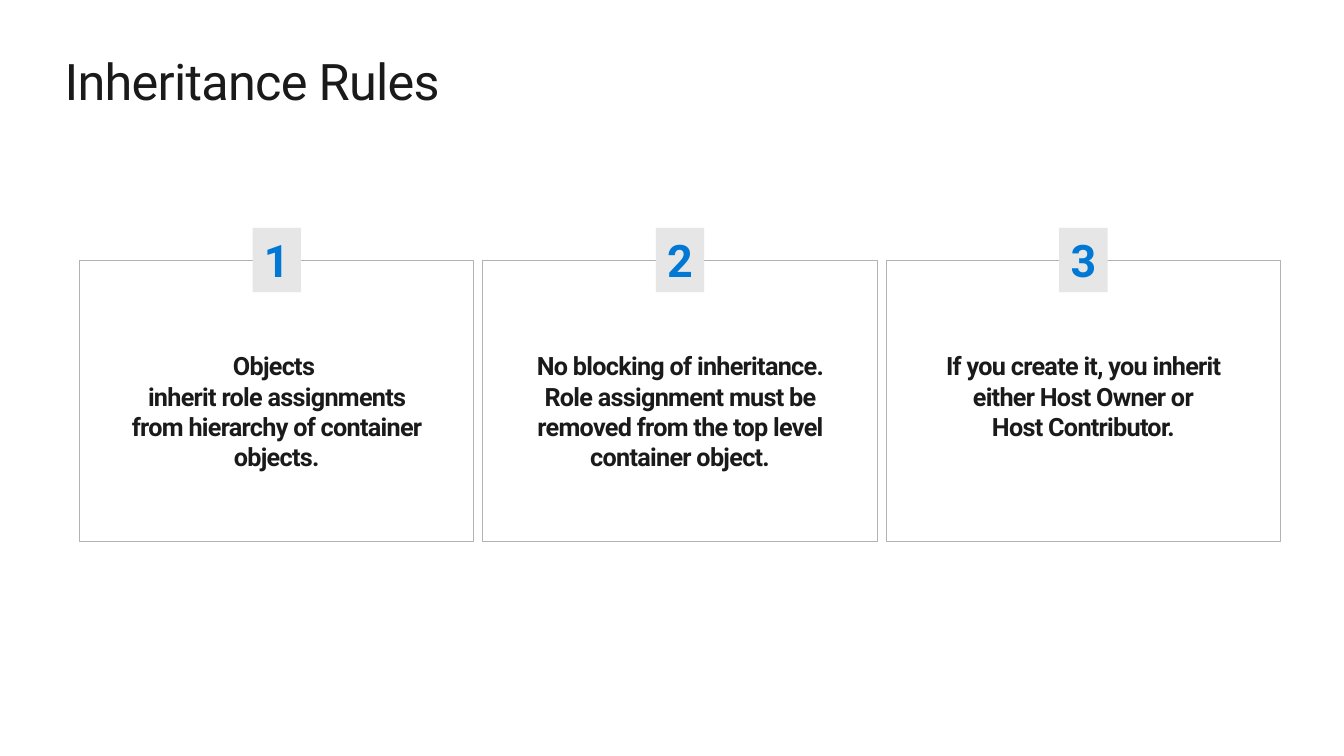
from pptx import Presentation
from pptx.dml.color import RGBColor
from pptx.enum.shapes import MSO_SHAPE
from pptx.enum.text import MSO_ANCHOR, PP_ALIGN
from pptx.util import Inches, Pt

RECTANGLE = MSO_SHAPE.RECTANGLE
TOP, MIDDLE = MSO_ANCHOR.TOP, MSO_ANCHOR.MIDDLE
LEFT, CENTER = PP_ALIGN.LEFT, PP_ALIGN.CENTER

TITLE = "Inheritance Rules"
RULES = [
    "Objects \ninherit role assignments from hierarchy of container objects.",
    "No blocking of inheritance. Role assignment must be removed from the top level container object.",
    "If you create it, you inherit either Host Owner or\nHost Contributor.",
]

COLORS = {"text": "1A1A1A", "border": "B2B2B2", "badge": "E6E6E6", "number": "0078D4"}
FONT = "Roboto"
CARD_LEFT, CARD_TOP, CARD_WIDTH, CARD_HEIGHT = 0.79, 2.58, 3.91, 2.79
CARD_PITCH = 4.0
BADGE_WIDTH, BADGE_HEIGHT = 0.48, 0.64
TEXT_WIDTH, TEXT_HEIGHT, TEXT_OFFSET = 3.2, 1.31, 0.85


def color(name):
    return RGBColor.from_string(COLORS[name])


def write(shape, text, size, color_name, bold, alignment, anchor):
    text_frame = shape.text_frame
    text_frame.word_wrap = True
    text_frame.vertical_anchor = anchor
    paragraph = text_frame.paragraphs[0]
    paragraph.text = text
    paragraph.alignment = alignment
    for run in paragraph.runs:
        run.font.name = FONT
        run.font.size = Pt(size)
        run.font.bold = bold
        run.font.color.rgb = color(color_name)
        run.font._element.set("spc", "-50")


def add_rectangle(shapes, left, top, width, height):
    shape = shapes.add_shape(RECTANGLE, Inches(left), Inches(top), Inches(width), Inches(height))
    shape.shadow.inherit = False
    return shape


def add_card(slide, number, rule):
    shapes = slide.shapes.add_group_shape().shapes
    left = CARD_LEFT + (number - 1) * CARD_PITCH
    center = left + CARD_WIDTH / 2

    rule_box = shapes.add_textbox(Inches(center - TEXT_WIDTH / 2), Inches(CARD_TOP + TEXT_OFFSET),
                                  Inches(TEXT_WIDTH), Inches(TEXT_HEIGHT))
    write(rule_box, rule, 18, "text", True, CENTER, TOP)

    frame = add_rectangle(shapes, left, CARD_TOP, CARD_WIDTH, CARD_HEIGHT)
    frame.fill.background()
    frame.line.color.rgb = color("border")
    frame.line.width = Pt(0.75)

    badge = add_rectangle(shapes, center - BADGE_WIDTH / 2, CARD_TOP - BADGE_HEIGHT / 2,
                          BADGE_WIDTH, BADGE_HEIGHT)
    badge.fill.solid()
    badge.fill.fore_color.rgb = color("badge")
    badge.line.fill.background()
    write(badge, str(number), 32, "number", True, CENTER, MIDDLE)


def main():
    presentation = Presentation()
    presentation.slide_width = Inches(13.33)
    presentation.slide_height = Inches(7.5)
    slide = presentation.slides.add_slide(presentation.slide_layouts[5])

    title = slide.shapes.title
    title.left, title.top, title.width, title.height = map(Inches, (0.64, 0.5, 12.05, 0.61))
    title_frame = title.text_frame
    title_frame.margin_left = title_frame.margin_right = 0
    title_frame.margin_top = title_frame.margin_bottom = 0
    write(title, TITLE, 36, "text", False, LEFT, TOP)

    for number, rule in enumerate(RULES, 1):
        add_card(slide, number, rule)

    presentation.save("out.pptx")


if __name__ == "__main__":
    main()
